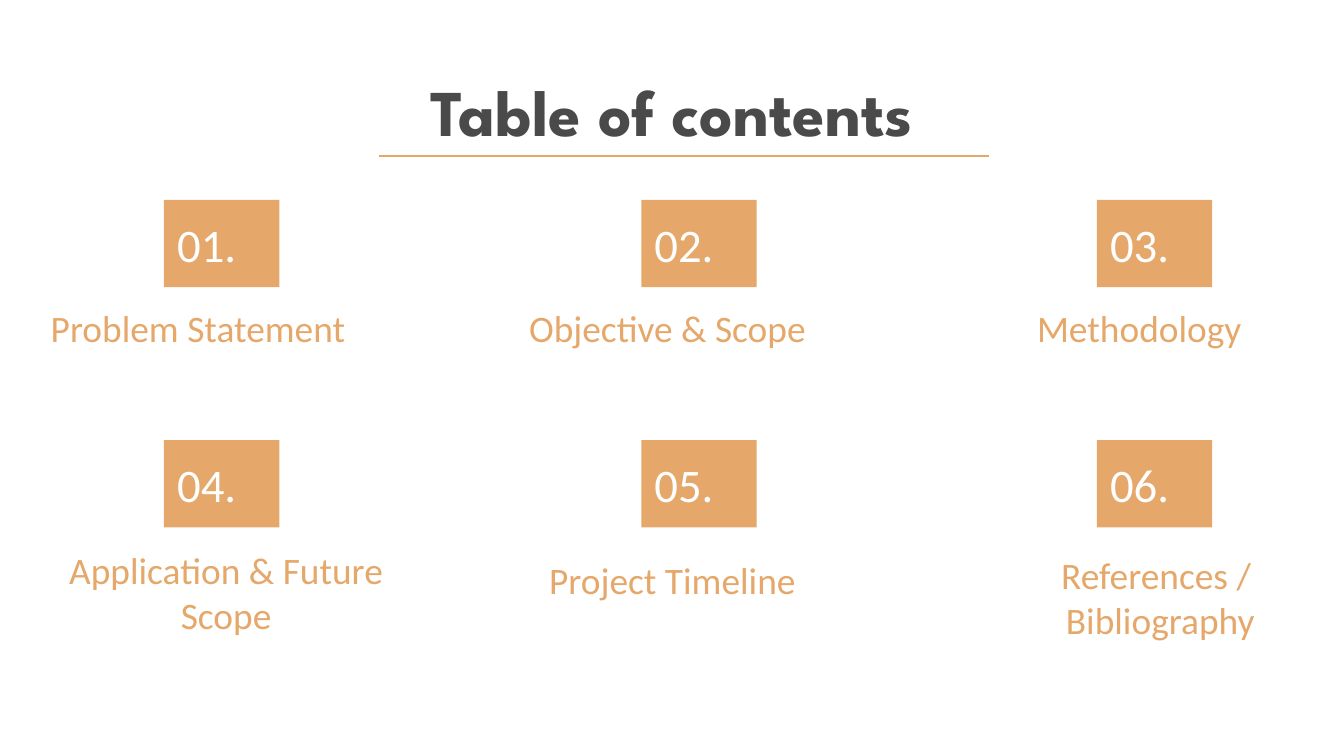
"""Build a table-of-contents slide with six numbered sections."""
from lxml import etree
from pptx import Presentation
from pptx import util as u
from pptx.dml.color import RGBColor
from pptx.enum import shapes, text
from pptx.oxml import ns

ORANGE = RGBColor(0xE5, 0xA8, 0x6A)
WHITE = RGBColor(0xFF, 0xFF, 0xFF)
CHARCOAL = RGBColor(0x4A, 0x4A, 0x4A)
LEFT, CENTER = text.PP_ALIGN.LEFT, text.PP_ALIGN.CENTER

NUMBER_COLUMNS = (3.1, 12.12, 20.73)
NUMBER_ROWS = (3.78, 8.32)
NUMBER_SIZE = (2.18, 1.65)
SECTIONS = (
    ("Problem Statement", (0.71, 5.69, 8.61, 1.02), LEFT),
    ("Objective & Scope", (9.75, 5.69, 6.76, 1.02), LEFT),
    ("Methodology", (19.35, 5.69, 6.76, 1.02), LEFT),
    ("Application & Future Scope", (0.3, 10.44, 7.95, 1.5), CENTER),
    ("Project Timeline", (10.13, 10.44, 6.76, 1.02), LEFT),
    ("References / \vBibliography", (19.35, 10.34, 5.16, 1.9), CENTER),
)


class ContentsSlide:
    def __init__(self, slide, font="Calibri"):
        self.slide = slide
        self.font = font

    def fill_text(self, holder, wording, size, color, align=LEFT, font=None, bold=False):
        frame = holder.text_frame
        frame.word_wrap = True
        frame.vertical_anchor = text.MSO_ANCHOR.MIDDLE
        frame.margin_left = frame.margin_right = u.Cm(0.25)
        frame.margin_top = frame.margin_bottom = u.Cm(0.25)
        frame.text = wording
        paragraph = frame.paragraphs[0]
        paragraph.alignment = align
        for run in paragraph.runs:
            run.font.name = font or self.font
            run.font.size = u.Pt(size)
            run.font.bold = bold
            run.font.color.rgb = color
        return paragraph

    def label(self, wording, place, size=20, color=ORANGE, **style):
        box = self.slide.shapes.add_textbox(*map(u.Cm, place))
        return self.fill_text(box, wording, size, color, **style)

    def number(self, wording, place):
        tile = self.slide.shapes.add_shape(
            shapes.MSO_SHAPE.RECTANGLE, *map(u.Cm, place))
        tile.shadow.inherit = False
        tile.fill.solid()
        tile.fill.fore_color.rgb = ORANGE
        tile.line.fill.background()
        self.fill_text(tile, wording, 25, WHITE)

    def rule(self, start, end, y):
        line = self.slide.shapes.add_connector(
            shapes.MSO_CONNECTOR.STRAIGHT, *map(u.Cm, (start, y, end, y)))
        line.line.color.rgb = ORANGE
        line.line.width = u.Pt(0.75)
        etree.SubElement(line._element.spPr, ns.qn("a:effectLst"))


def main():
    deck = Presentation()
    deck.slide_width, deck.slide_height = u.Cm(25.4), u.Cm(14.29)
    contents = ContentsSlide(deck.slides.add_slide(deck.slide_layouts[6]))

    for index, (section, place, align) in enumerate(SECTIONS):
        row, column = divmod(index, len(NUMBER_COLUMNS))
        contents.label(section, place, align=align)
        contents.number(f"{index + 1:02}.",
                        (NUMBER_COLUMNS[column], NUMBER_ROWS[row], *NUMBER_SIZE))

    heading = contents.label("Table of contents", (2, 1.5, 21.41, 1.35), size=35,
                             color=CHARCOAL, align=CENTER,
                             font="League Spartan", bold=True)
    heading.line_spacing = 0.9
    contents.rule(7.16, 18.69, 2.95)
    deck.save("out.pptx")


if __name__ == "__main__":
    main()
